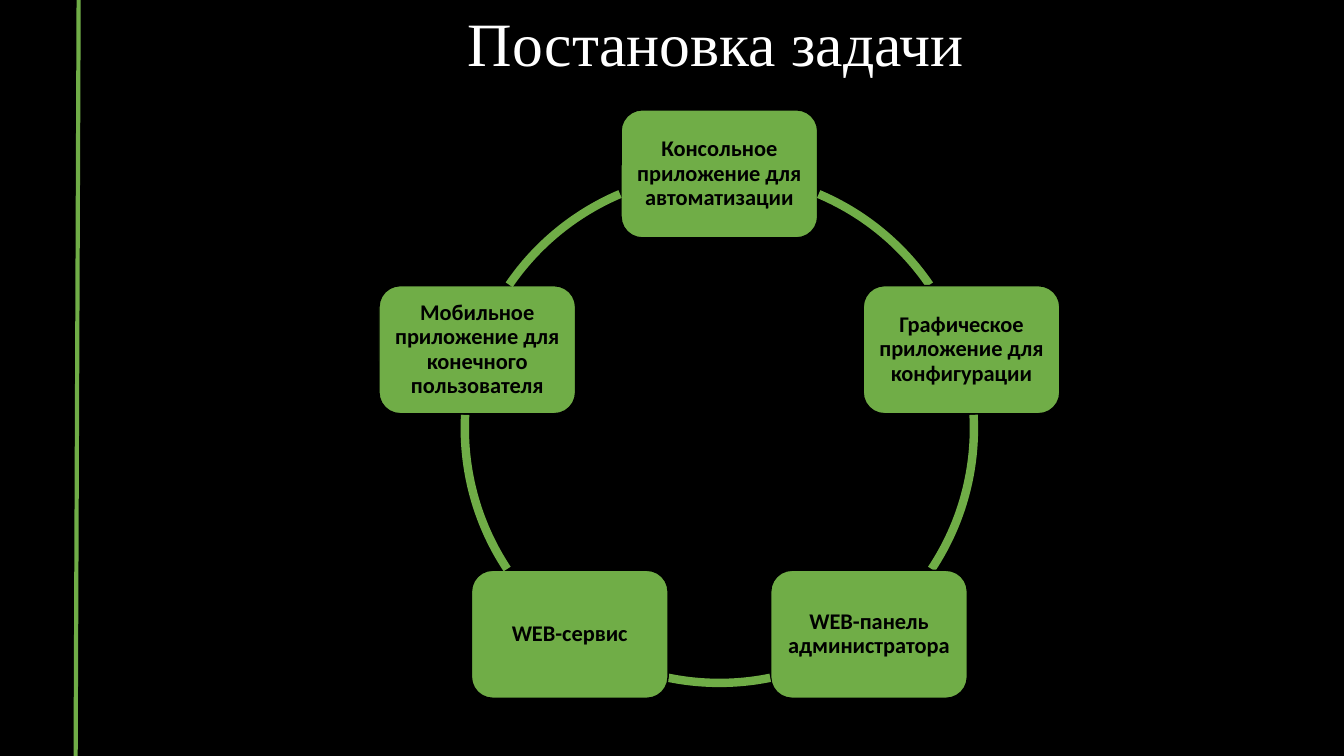
from math import cos, radians, sin

from pptx import Presentation
from pptx.dml.color import RGBColor
from pptx.enum.shapes import MSO_CONNECTOR, MSO_SHAPE
from pptx.enum.text import MSO_ANCHOR, MSO_AUTO_SIZE, PP_ALIGN
from pptx.oxml.ns import qn
from pptx.util import Inches, Pt
from lxml.etree import SubElement

# Content: parts of the system, clockwise from the top
TITLE = "Постановка задачи"
PARTS = [
    "Консольное приложение для автоматизации",
    "Графическое приложение для конфигурации",
    "WEB-панель администратора",
    "WEB-сервис",
    "Мобильное приложение для конечного пользователя",
]
# Start and end angle of the arc after each part, in degrees
ARCS = [(292.96, 325.65), (356.94, 33.53), (78.47, 101.53),
        (146.47, 183.06), (214.35, 247.04)]

BLACK, WHITE, GREEN = "000000", "FFFFFF", "70AD47"
CENTER_X, CENTER_Y, RADIUS = 7.135, 4.25, 2.525
BOX_WIDTH, BOX_HEIGHT, BOX_INSET = 1.95, 1.27, 0.07
TITLE_FONT = {"name": "Times New Roman", "size": Pt(44), "bold": False}
PART_FONT = {"name": "Calibri", "size": Pt(16), "bold": True}


def paint(target, color):
    target.solid()
    target.fore_color.rgb = RGBColor.from_string(color)


def outline(line, color, width):
    paint(line.fill, color)
    line.width = Pt(width)


def set_all(target, values):
    for name, value in values.items():
        setattr(target, name, value)


def write(frame, text, font, color, align):
    para = frame.paragraphs[0]
    para.alignment = align
    span = para.add_run()
    span.text = text
    set_all(span.font, font)
    span.font.color.rgb = RGBColor.from_string(color)
    return para


def add_part(page, text, angle):
    x = CENTER_X + RADIUS * cos(radians(angle)) - BOX_WIDTH / 2
    y = CENTER_Y + RADIUS * sin(radians(angle)) - BOX_HEIGHT / 2
    box = page.shapes.add_shape(MSO_SHAPE.ROUNDED_RECTANGLE, Inches(x), Inches(y),
                                Inches(BOX_WIDTH), Inches(BOX_HEIGHT))
    box.shadow.inherit = False
    paint(box.fill, GREEN)
    outline(box.line, BLACK, 1)
    frame = box.text_frame
    set_all(frame, {"word_wrap": True, "vertical_anchor": MSO_ANCHOR.MIDDLE})
    set_all(frame, {f"margin_{side}": Inches(BOX_INSET)
                    for side in ("left", "top", "right", "bottom")})
    write(frame, text, PART_FONT, BLACK, PP_ALIGN.CENTER).line_spacing = 0.9


def add_arc(page, start, end):
    arc = page.shapes.add_shape(MSO_SHAPE.ARC, Inches(CENTER_X - RADIUS),
                                Inches(CENTER_Y - RADIUS),
                                Inches(2 * RADIUS), Inches(2 * RADIUS))
    arc.shadow.inherit = False
    arc.fill.background()
    outline(arc.line, GREEN, 6)
    # One degree is 60000 units, and an adjustment of 1 is 100000 units
    for index, angle in enumerate((start, end)):
        arc.adjustments[index] = angle * 0.6


def main():
    deck = Presentation()
    deck.slide_width, deck.slide_height = Inches(13.33), Inches(7.5)
    page = deck.slides.add_slide(deck.slide_layouts[5])
    paint(page.background.fill, BLACK)

    # Side line
    side = page.shapes.add_connector(MSO_CONNECTOR.STRAIGHT, Inches(0.78), Inches(0),
                                     Inches(0.75), Inches(7.5))
    outline(side.line, GREEN, 3)
    SubElement(side._element.spPr, qn("a:effectLst"))

    # Title
    title = page.shapes.title
    set_all(title, {"left": Inches(4.54), "top": Inches(0),
                    "width": Inches(5.19), "height": Inches(0.84)})
    set_all(title.text_frame, {"word_wrap": False, "vertical_anchor": MSO_ANCHOR.TOP,
                               "auto_size": MSO_AUTO_SIZE.SHAPE_TO_FIT_TEXT})
    write(title.text_frame, TITLE, TITLE_FONT, WHITE, PP_ALIGN.LEFT)

    # Ring of parts joined by arcs
    step = 360 / len(PARTS)
    for index, (text, arc) in enumerate(zip(PARTS, ARCS)):
        add_part(page, text, index * step - 90)
        add_arc(page, *arc)

    deck.save("out.pptx")


if __name__ == "__main__":
    main()
